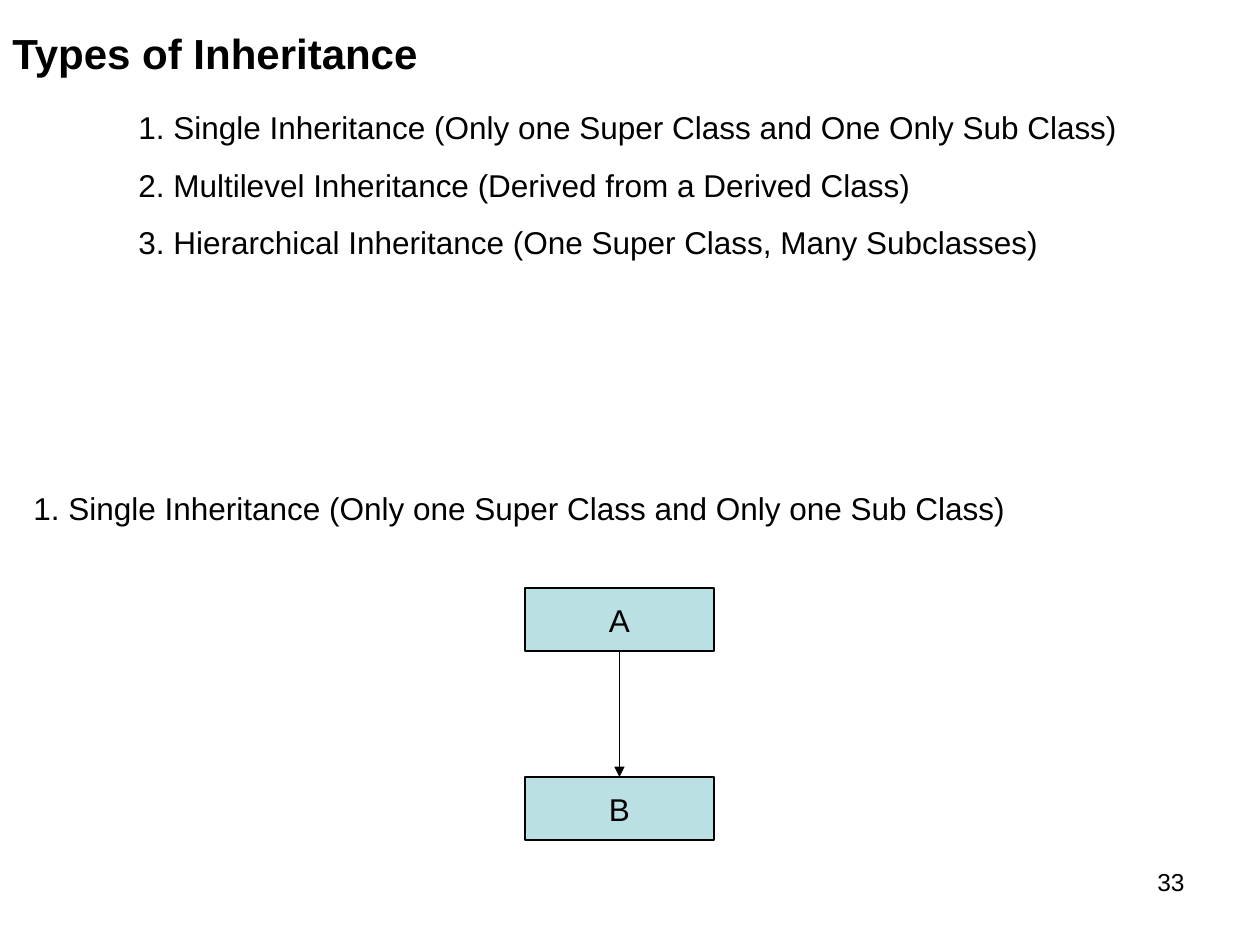
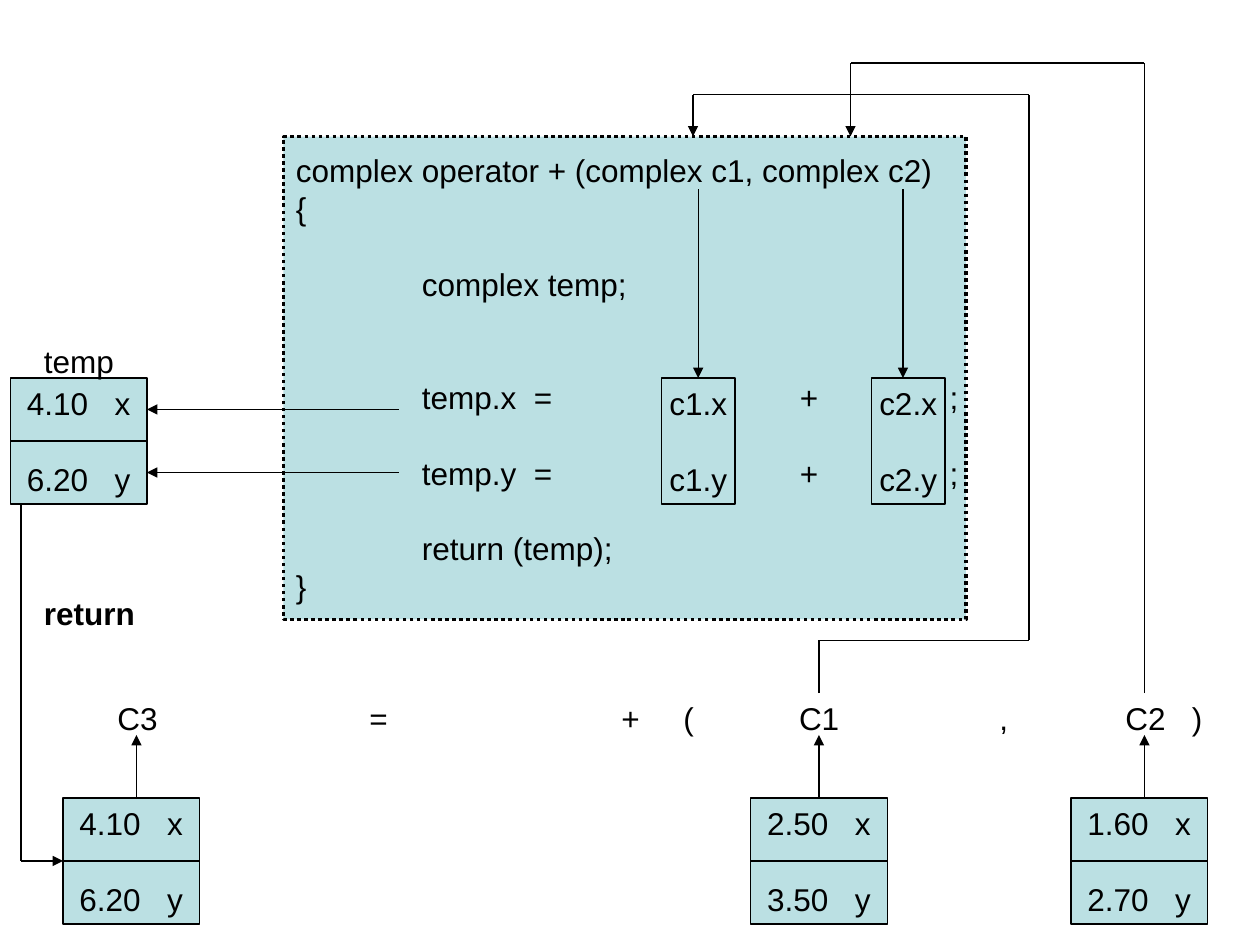
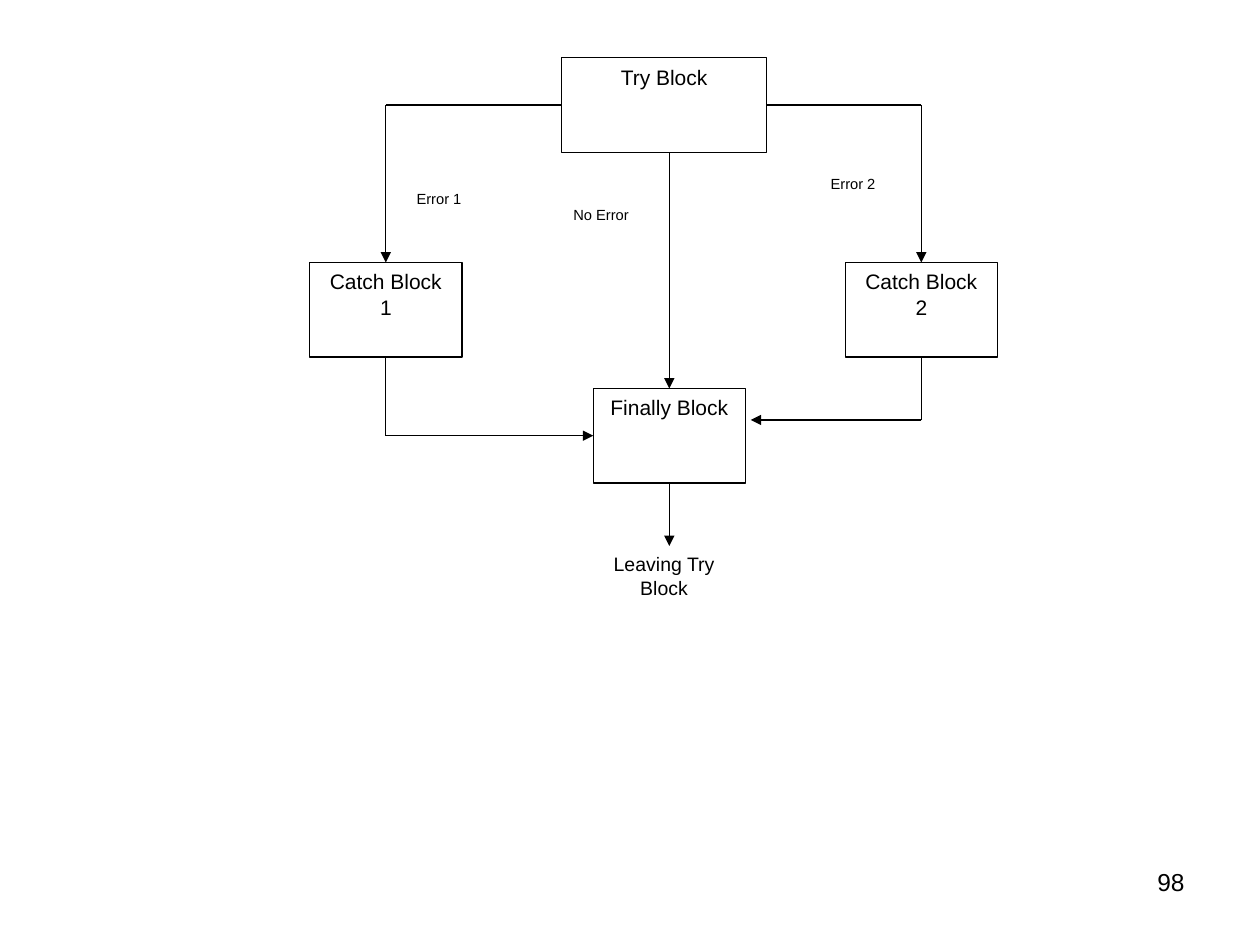
from dataclasses import dataclass
from typing import Any

from lxml import etree
from pptx import Presentation
from pptx.dml.color import RGBColor
from pptx.enum.dml import MSO_LINE
from pptx.enum.shapes import MSO_CONNECTOR, MSO_SHAPE
from pptx.enum.text import MSO_ANCHOR, PP_ALIGN
from pptx.oxml.ns import qn
from pptx.util import Cm, Pt

LEFT, CENTER, RIGHT = PP_ALIGN.LEFT, PP_ALIGN.CENTER, PP_ALIGN.RIGHT
TOP, MIDDLE = MSO_ANCHOR.TOP, MSO_ANCHOR.MIDDLE
RECTANGLE, STRAIGHT, DOTTED = MSO_SHAPE.RECTANGLE, MSO_CONNECTOR.STRAIGHT, MSO_LINE.ROUND_DOT
TOP_SIDE, LEFT_SIDE, BOTTOM_SIDE, RIGHT_SIDE = range(4)


@dataclass(frozen=True)
class Theme:
    font: str = "Arial"
    ink: RGBColor = RGBColor(0, 0, 0)
    paper: RGBColor = RGBColor(255, 255, 255)
    panel: RGBColor = RGBColor(0xBB, 0xE0, 0xE3)
    title: float = 24
    body: float = 18
    footer: float = 14
    block: float = 12
    outcome: float = 11.1
    label: float = 8.4
    leading: float = 1.2
    rule: float = 0.75
    frame: float = 2


THEME = Theme()
BODY_LINE = THEME.body * THEME.leading
TITLE_GAP, ITEM_GAP = 17.5, 11.2


def steps(count):
    return Cm(25.4 * count / 120)


def assign(target, values):
    for name, value in values.items():
        setattr(target, name, value)


@dataclass
class Line:
    text: str
    before: float = 0
    size: float = THEME.body
    bold: bool = False
    indent: Any = 0


def write(frame, lines, align=LEFT, tabs=(), **frame_format):
    assign(frame, {
        "word_wrap": True, "vertical_anchor": TOP,
        "margin_left": Cm(0.25), "margin_right": Cm(0.25),
        "margin_top": Cm(0.13), "margin_bottom": Cm(0.13), **frame_format,
    })
    for index, line in enumerate(lines):
        paragraph = frame.paragraphs[0] if index == 0 else frame.add_paragraph()
        properties = paragraph._p.get_or_add_pPr()
        if line.indent:
            properties.set("marL", str(line.indent))
        if tabs:
            stops = etree.SubElement(properties, qn("a:tabLst"))
            for position in tabs:
                etree.SubElement(stops, qn("a:tab"), pos=str(Cm(position)), algn="l")
        assign(paragraph, {
            "alignment": align, "space_before": Pt(line.before),
            "line_spacing": Pt(round(line.size * THEME.leading, 2)),
        })
        run = paragraph.add_run()
        run.text = line.text
        assign(run.font, {"name": THEME.font, "size": Pt(line.size), "bold": line.bold})
        run.font.color.rgb = THEME.ink


@dataclass
class Region:
    slide: Any
    left: float
    top: float
    width: float
    height: float

    def inner(self, left, top, width, height):
        return Region(self.slide, self.left + left, self.top + top, width, height)

    def bounds(self):
        return [steps(n) for n in (self.left, self.top, self.width, self.height)]

    def text(self, lines, **text_format):
        write(self.slide.shapes.add_textbox(*self.bounds()).text_frame, lines, **text_format)

    def panel(self, lines, fill=THEME.panel, edge=THEME.ink, weight=THEME.rule, dash=None, **text_format):
        shape = self.slide.shapes.add_shape(RECTANGLE, *self.bounds())
        shape.shadow.inherit = False
        shape.fill.solid()
        shape.fill.fore_color.rgb = fill
        shape.line.color.rgb = edge
        assign(shape.line, {"width": Pt(weight), "dash_style": dash})
        write(shape.text_frame, lines, **text_format)
        return shape

    def route(self, *points, begin=None, end=None, arrow=True):
        places = [(steps(self.left + x), steps(self.top + y)) for x, y in points]
        last = len(places) - 2
        for index, (start, stop) in enumerate(zip(places, places[1:])):
            segment = self.slide.shapes.add_connector(STRAIGHT, *start, *stop)
            segment.line.color.rgb = THEME.ink
            segment.line.width = Pt(THEME.rule)
            properties = segment.element.spPr
            if arrow and index == last:
                etree.SubElement(properties.find(qn("a:ln")), qn("a:tailEnd"), type="triangle")
            etree.SubElement(properties, qn("a:effectLst"))
            if begin and index == 0:
                segment.begin_connect(*begin)
            if end and index == last:
                segment.end_connect(*end)


def page_number(page, number):
    page.inner(86, 82, 28, 6.25).text([Line(number, size=THEME.footer)], align=RIGHT)


def inheritance_list(region):
    kinds = [
        "1. Single Inheritance (Only one Super Class and One Only Sub Class)",
        "2. Multilevel Inheritance (Derived from a Derived Class)",
        "3. Hierarchical Inheritance (One Super Class, Many Subclasses)",
    ]
    items = [Line(kind, before=TITLE_GAP if index == 0 else ITEM_GAP, indent=Cm(2.54))
             for index, kind in enumerate(kinds)]
    region.text([Line("Types of Inheritance", size=THEME.title, bold=True), *items])


def class_chain(region):
    height = 6
    super_class, sub_class = [
        region.inner(0, top, region.width, height).panel(
            [Line(name)], align=CENTER, vertical_anchor=MIDDLE, word_wrap=False)
        for name, top in (("A", 0), ("B", region.height - height))
    ]
    middle = region.width / 2
    region.route((middle, height), (middle, region.height - height),
                 begin=(super_class, BOTTOM_SIDE), end=(sub_class, TOP_SIDE))


def inheritance_slide(page):
    inheritance_list(page.inner(0, 2, 120, 29))
    page.inner(2, 46, 113, 4.8).text(
        [Line("1. Single Inheritance (Only one Super Class and Only one Sub Class)")])
    class_chain(page.inner(50, 56, 18, 24))
    page_number(page, "33")


def complex_record(region, real, imaginary):
    record = region.panel(
        [Line(f"{real}\tx"), Line(f"{imaginary}\ty", before=BODY_LINE)],
        vertical_anchor=MIDDLE, margin_left=Cm(0.33), margin_right=0, tabs=[1.77])
    middle = region.height / 2
    region.route((0, middle), (region.width, middle), arrow=False)
    return record


def operator_code(region):
    code = [
        ("complex operator + (complex c1, complex c2)", 0),
        ("{", 0),
        ("\tcomplex temp;", 1),
        ("\ttemp.x  =\t+\t;", 2),
        ("\ttemp.y  =\t+\t;", 1),
        ("\treturn (temp);", 1),
        ("}", 0),
    ]
    region.panel([Line(text, before=blank * BODY_LINE) for text, blank in code],
                 weight=THEME.frame, dash=DOTTED, vertical_anchor=MIDDLE,
                 margin_right=0, tabs=[2.54, 10.16, 13.18])
    for name, left, arrow_x in (("c1", 36, 39.5), ("c2", 56, 59)):
        operand = region.inner(left, 23, 7, 12).panel(
            [Line(f"{name}.x"), Line(f"{name}.y", before=BODY_LINE)],
            align=CENTER, vertical_anchor=MIDDLE, word_wrap=False)
        centred = arrow_x == left + 3.5
        region.route((arrow_x, 5), (arrow_x, 23), end=(operand, TOP_SIDE) if centred else None)


def operator_call(region):
    region.inner(4, 0, 106, 4.8).text(
        [Line("C3\t=\t+\t(\tC1\t,\tC2\t)")],
        tabs=[5.08, 10.16, 11.41, 13.74, 17.78, 20.32, 21.66])
    operands = [(0, 7, "4.10", "6.20"), (65.5, 72, "2.50", "3.50"), (96, 103, "1.60", "2.70")]
    records = []
    for left, arrow_x, real, imaginary in operands:
        record = complex_record(region.inner(left, 10, 13, 12), real, imaginary)
        centred = arrow_x == left + 6.5
        region.route((arrow_x, 10), (arrow_x, 4), begin=(record, TOP_SIDE) if centred else None)
        records.append(record)
    return records[0]


def operator_slide(page):
    result = operator_call(page.inner(6, 66, 109, 22))
    operator_code(page.inner(27, 13, 65, 46))
    complex_record(page.inner(1, 36, 13, 12), "4.10", "6.20")
    page.inner(3, 32, 12, 4.8).text([Line("temp")])
    page.inner(3, 56, 13, 4.8).text([Line("return", bold=True)])
    page.route((2, 48), (2, 82), (6, 82), end=(result, LEFT_SIDE))
    for y in (39, 45):
        page.route((38, y), (14, y))
    page.route((109, 66), (109, 6), (81, 6), (81, 13))
    page.route((78, 66), (78, 61), (98, 61), (98, 9), (66, 9), (66, 13))


def exception_flow(region):
    def block(name, left, top, width=14.5):
        return region.inner(left, top, width, 9).panel(
            [Line(name, size=THEME.block)], fill=THEME.paper, align=CENTER)

    def caption(text, left, top, width, height, size=THEME.label, align=CENTER):
        region.inner(left, top, width, height).panel(
            [Line(text, size=size)], fill=THEME.paper, edge=THEME.paper, align=align)

    attempt = block("Try Block", 24, 0, 19.5)
    first_catch = block("Catch Block 1", 0, 19.5)
    second_catch = block("Catch Block 2", 51, 19.5)
    closing = block("Finally Block", 27, 31.5)
    caption("Leaving Try Block", 27, 46.5, 13.5, 6, size=THEME.outcome)
    caption("Error 2", 46.5, 10.5, 10.5, 3)
    caption("Error 1", 9, 12, 10.5, 3, align=LEFT)
    caption("No Error", 22.5, 13.5, 10.5, 3)

    first_x, closing_x, second_x = (left + 7.25 for left in (0, 27, 51))
    region.route((closing_x, 9), (closing_x, 31.5), end=(closing, TOP_SIDE))
    region.route((24, 4.5), (first_x, 4.5), (first_x, 19.5),
                 begin=(attempt, LEFT_SIDE), end=(first_catch, TOP_SIDE))
    region.route((43.5, 4.5), (second_x, 4.5), (second_x, 19.5),
                 begin=(attempt, RIGHT_SIDE), end=(second_catch, TOP_SIDE))
    region.route((first_x, 28.5), (first_x, 36), (27, 36),
                 begin=(first_catch, BOTTOM_SIDE), end=(closing, LEFT_SIDE))
    region.route((second_x, 28.5), (second_x, 34.5), (42, 34.5),
                 begin=(second_catch, BOTTOM_SIDE))
    region.route((closing_x, 40.5), (closing_x, 46.5), begin=(closing, BOTTOM_SIDE))


def exception_slide(page):
    exception_flow(page.inner(29.5, 5.5, 65.5, 52.5))
    page_number(page, "98")


def main():
    deck = Presentation()
    assign(deck, {"slide_width": Cm(25.4), "slide_height": Cm(19.05)})
    for build in (inheritance_slide, operator_slide, exception_slide):
        slide = deck.slides.add_slide(deck.slide_layouts[6])
        build(Region(slide, 0, 0, 120, 90))
    deck.save("out.pptx")


if __name__ == "__main__":
    main()
